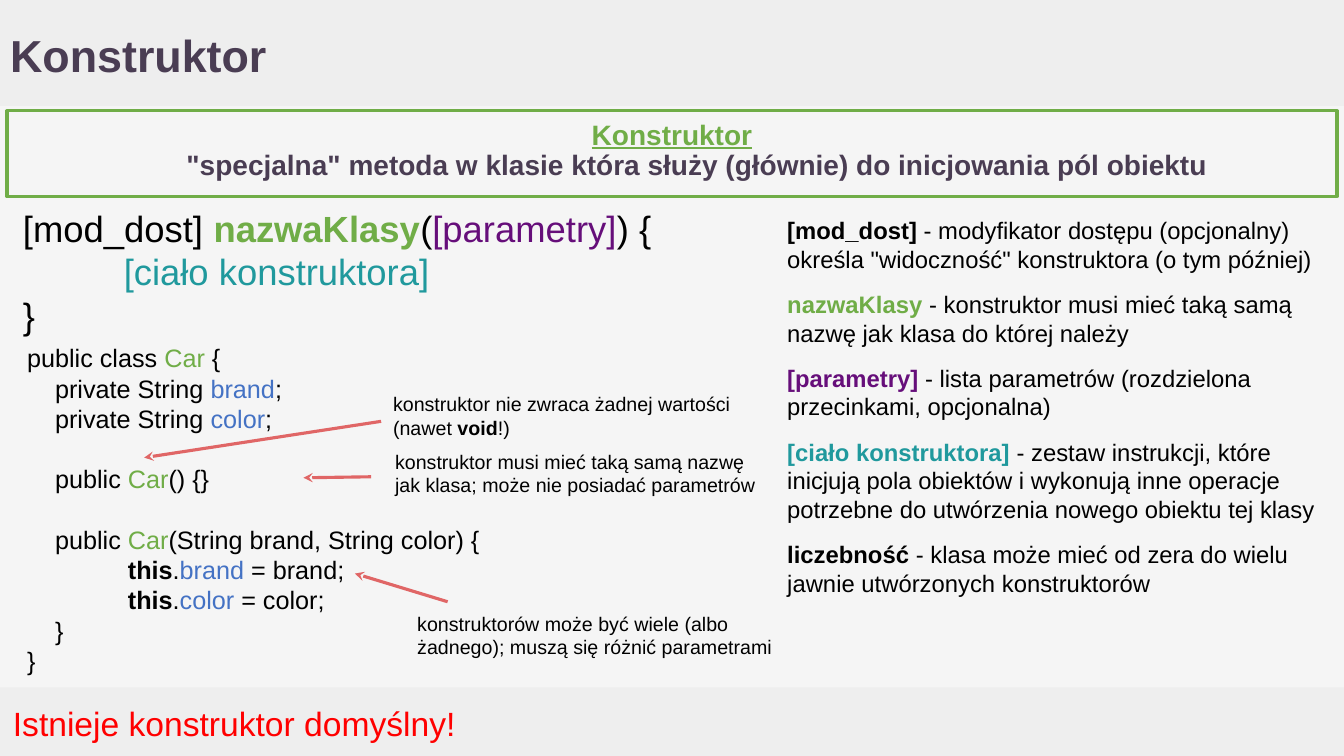
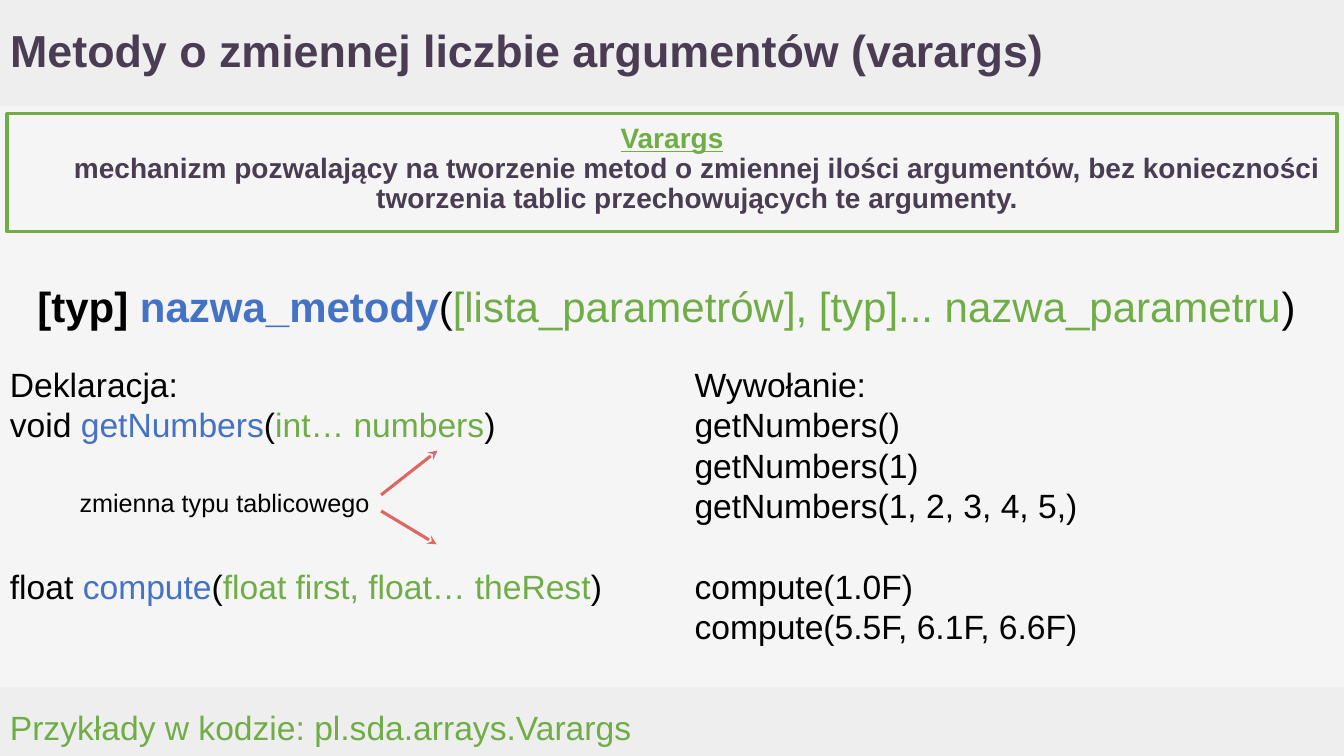
from lxml import etree
from pptx import Presentation
from pptx.dml.color import RGBColor
from pptx.enum import shapes, text
from pptx.oxml import ns
from pptx.util import Inches, Pt

COLORS = {
    "page": "F5F5F5", "band": "EEEEEE", "title": "4A3D53", "black": "000000",
    "green": "70AD47", "blue": "4472C4", "purple": "660E7A", "teal": "20999D",
    "arrow": "E06666", "red": "FF0000",
}
MIDDLE = text.MSO_ANCHOR.MIDDLE
CENTER = text.PP_ALIGN.CENTER


def color(name):
    return RGBColor.from_string(COLORS[name])


def para(*runs, **options):
    """A run is a string or (text, colour[, bold]); options: gap, indent, color, underline."""
    return [r if isinstance(r, tuple) else (r, None) for r in runs], options


def bold(words, name="black"):
    return words, name, True


class Deck:
    font = "Arial"
    width, height = 13.33, 7.5

    def __init__(self):
        self.prs = Presentation()
        self.prs.slide_width = Inches(self.width)
        self.prs.slide_height = Inches(self.height)
        self.layout = self.prs.slide_layouts[1]
        fill = self.prs.slide_master.background.fill
        fill.solid()
        fill.fore_color.rgb = color("page")
        self.s = None

    def new_slide(self, title, top=0):
        first = self.s is None
        self.s = self.prs.slides.add_slide(self.layout)
        if first:
            self.band(0, 1.05)
            self.band(6.82, 0.68)
        self.place(self.s.shapes.title, 0, top, 11.92, 1.05)
        self.set_text(self.s.shapes.title, [para(title)], 32, "title", True,
                      anchor=MIDDLE, spacing=0.9)

    def band(self, top, height):
        """Draw a band and move it to the layout, behind every slide."""
        sp = self.s.shapes.add_shape(shapes.MSO_SHAPE.RECTANGLE, 0, Inches(top),
                                     Inches(self.width), Inches(height))
        sp.shadow.inherit = False
        sp.fill.solid()
        sp.fill.fore_color.rgb = color("band")
        sp.line.fill.background()
        self.layout.shapes._spTree.insert(2, sp._element)

    def place(self, sp, left, top, width, height):
        sp.left, sp.top = Inches(left), Inches(top)
        sp.width, sp.height = Inches(width), Inches(height)

    def set_text(self, sp, paras, size, base="black", strong=False,
                 align=text.PP_ALIGN.LEFT, anchor=text.MSO_ANCHOR.TOP, spacing=None):
        tf = sp.text_frame
        tf.word_wrap = True
        tf.auto_size = text.MSO_AUTO_SIZE.NONE
        tf.vertical_anchor = anchor
        tf.margin_left = tf.margin_right = Inches(0.1)
        tf.margin_top = tf.margin_bottom = Inches(0.1)
        for i, (runs, options) in enumerate(paras):
            p = tf.add_paragraph() if i else tf.paragraphs[0]
            props = p._p.get_or_add_pPr()
            props.set("marL", str(Inches(options.get("indent", 0))))
            props.set("indent", "0")
            etree.SubElement(props, ns.qn("a:buNone"))
            p.alignment = align
            p.space_before = Pt(options.get("gap", 0))
            if spacing:
                p.line_spacing = spacing
            p.font.name, p.font.size, p.font.bold = self.font, Pt(size), strong
            p.font.color.rgb = color(options.get("color", base))
            p.font.underline = options.get("underline", False)
            for words, name, *heavy in runs:
                r = p.add_run()
                r.text = words
                if name:
                    r.font.color.rgb = color(name)
                if heavy:
                    r.font.bold = True

    def text(self, left, top, width, height, paras, size, **style):
        sp = self.s.shapes.add_textbox(0, 0, 0, 0)
        self.place(sp, left, top, width, height)
        self.set_text(sp, paras, size, **style)

    def definition(self, top, height, term, meaning):
        sp = self.s.placeholders[1]
        self.place(sp, 0.07, top, 13.19, height)
        sp.line.color.rgb = color("green")
        sp.line.width = Pt(2.25)
        self.set_text(sp, [para(term, color="green", underline=True),
                           para(meaning, indent=0.5)],
                      20, "title", True, align=CENTER, spacing=0.9)

    def arrow(self, tip, tail):
        c = self.s.shapes.add_connector(shapes.MSO_CONNECTOR.STRAIGHT,
                                        *map(Inches, tip + tail))
        c.line.color.rgb = color("arrow")
        c.line.width = Pt(2.25)
        etree.SubElement(c.line._get_or_add_ln(), ns.qn("a:headEnd"), type="stealth")
        etree.SubElement(c._element.spPr, ns.qn("a:effectLst"))


def constructor_slide(deck):
    deck.new_slide("Konstruktor", 0.05)
    deck.definition(1.1, 0.85, "Konstruktor",
                    '"specjalna" metoda w klasie która służy (głównie) do inicjowania pól obiektu')
    deck.text(0.13, 1.94, 7.74, 1.21, [
        para("[mod_dost] ", bold("nazwaKlasy", "green"), "(", ("[parametry]", "purple"), ") {"),
        para("[ciało konstruktora]", color="teal", indent=1),
        para("}"),
    ], 26)

    car = ("Car", "green")
    fields = ["brand", "color"]
    deck.text(0.17, 3.3, 5.02, 3.53, [
        para("public class ", car, " {"),
        *[para("    private String ", (f, "blue"), ";") for f in fields],
        para("    public ", car, "() {}", gap=21.6),
        para("    public ", car, "(String brand, String color) {", gap=21.6),
        *[para(bold("this"), ".", (f, "blue"), f" = {f};", indent=1) for f in fields],
        para("    }"),
        para("}"),
    ], 18)

    notes = [
        (3.8, 3.79, ["konstruktor nie zwraca żadnej wartości (nawet ", bold("void"), "!)"],
         (1.43, 4.54), (3.78, 4.18)),
        (3.82, 4.36, ["konstruktor musi mieć taką samą nazwę jak klasa; "
                      "może nie posiadać parametrów"],
         (3.01, 4.74), (3.68, 4.73)),
        (4.04, 5.97, ["konstruktorów może być wiele (albo żadnego); "
                      "muszą się różnić parametrami"],
         (3.52, 5.69), (4.44, 5.97)),
    ]
    for left, top, runs, tip, tail in notes:
        deck.text(left, top, 3.94, 0.7, [para(*runs)], 14)
        deck.arrow(tip, tail)

    terms = [
        ("[mod_dost]", "black", "modyfikator dostępu (opcjonalny) "
         'określa "widoczność" konstruktora (o tym później)'),
        ("nazwaKlasy", "green", "konstruktor musi mieć taką samą nazwę jak klasa "
         "do której należy"),
        ("[parametry]", "purple", "lista parametrów (rozdzielona przecinkami, opcjonalna)"),
        ("[ciało konstruktora]", "teal", "zestaw instrukcji, które inicjują pola obiektów "
         "i wykonują inne operacje potrzebne do utwórzenia nowego obiektu tej klasy"),
        ("liczebność", "black", "klasa może mieć od zera do wielu jawnie utwórzonych "
         "konstruktorów"),
    ]
    deck.text(7.71, 2.04, 5.54, 4.73,
              [para(bold(term, name), f" - {meaning}", gap=12 if i else 0)
               for i, (term, name, meaning) in enumerate(terms)], 17)
    deck.text(0.03, 6.84, 13.3, 0.66, [para("Istnieje konstruktor domyślny!")], 24,
              base="red", anchor=MIDDLE)


def varargs_slide(deck):
    deck.new_slide("Metody o zmiennej liczbie argumentów (varargs)")
    deck.definition(1.13, 1.17, "Varargs",
                    "mechanizm pozwalający na tworzenie metod o zmiennej ilości argumentów, "
                    "bez konieczności tworzenia tablic przechowujących te argumenty.")
    deck.text(0.07, 2.54, 13.08, 1.05, [
        para(bold("[typ] "), bold("nazwa_metody", "blue"), "(",
             ("[lista_parametrów], [typ]... nazwa_parametru", "green"), ")"),
    ], 30, align=CENTER, anchor=MIDDLE, spacing=0.9)
    deck.text(0, 3.51, 6.24, 3.14, [
        para("Deklaracja:"),
        para("void ", ("getNumbers", "blue"), "(", ("int… numbers", "green"), ")"),
        para("float ", ("compute", "blue"), "(",
             ("float first, float… theRest", "green"), ")", gap=86.4),
    ], 24)
    deck.text(6.79, 3.51, 6.41, 3.14, [
        para("Wywołanie:"),
        para("getNumbers()"),
        para("getNumbers(1)"),
        para("getNumbers(1, 2, 3, 4, 5,)"),
        para("compute(1.0F)", gap=28.8),
        para("compute(5.5F, 6.1F, 6.6F)"),
    ], 24)
    deck.text(0.69, 4.73, 3.18, 0.52, [para("zmienna typu tablicowego")], 18)
    deck.arrow((4.34, 4.47), (3.78, 4.91))
    deck.arrow((4.33, 5.4), (3.78, 5.07))
    deck.text(0, 6.88, 10.9, 0.67, [para("Przykłady w kodzie: pl.sda.arrays.Varargs")], 24,
              base="green", anchor=MIDDLE)


def main():
    deck = Deck()
    constructor_slide(deck)
    varargs_slide(deck)
    deck.prs.save("out.pptx")


if __name__ == "__main__":
    main()
